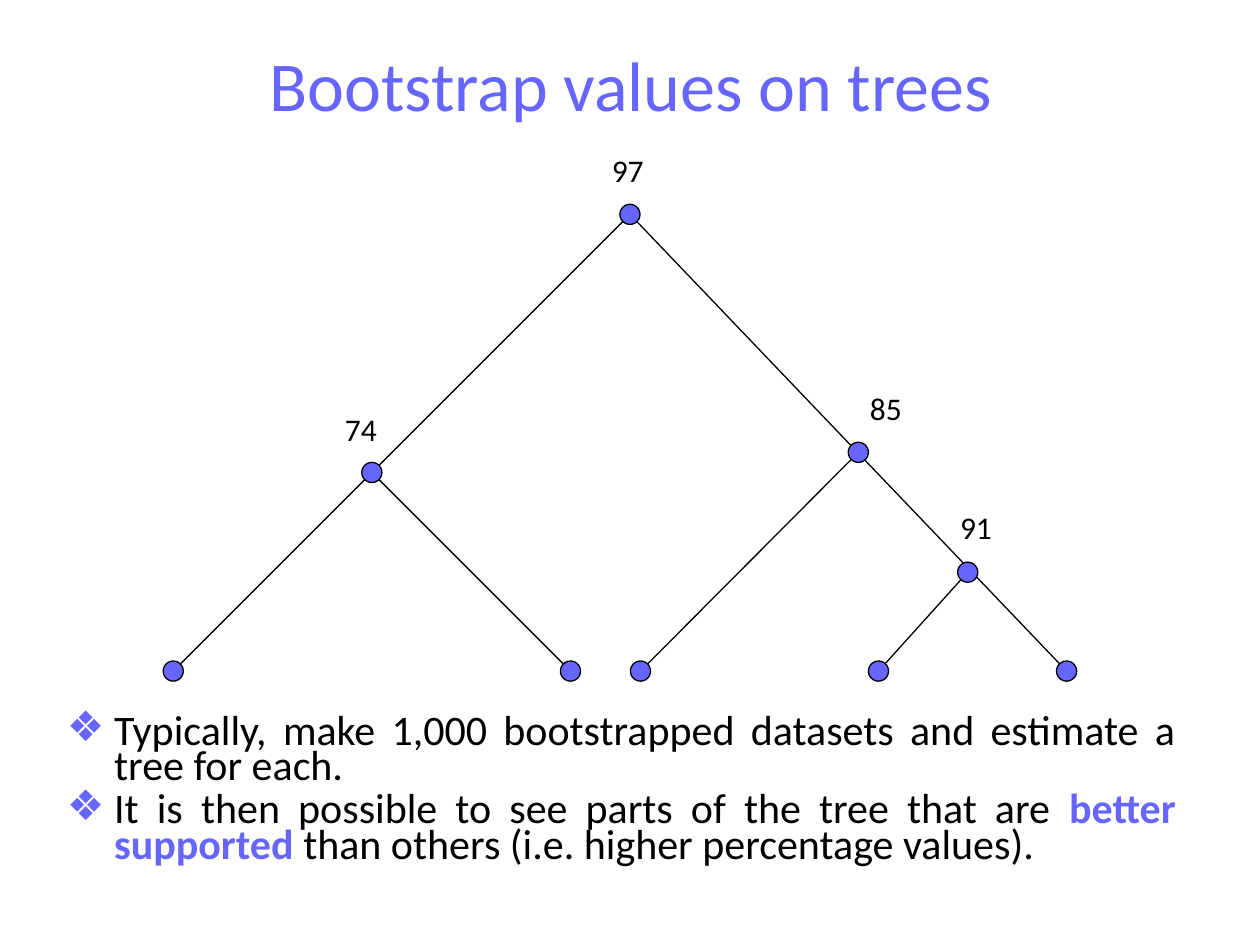
from lxml import etree
from pptx import Presentation
from pptx.dml.color import RGBColor
from pptx.enum import shapes, text
from pptx.oxml import ns
from pptx.util import Pt

ink = {"node": "6666FF", "text": "000000"}
dot = 11.5


def style(run, size, tone, bold=False):
    run.font.name = "Calibri"
    run.font.size = Pt(size)
    run.font.bold = bold
    run.font.color.rgb = RGBColor.from_string(ink[tone])


def place(box, left, top, width, height):
    box.left, box.top = Pt(left), Pt(top)
    box.width, box.height = Pt(width), Pt(height)


deck = Presentation()
deck.slide_width, deck.slide_height = Pt(720), Pt(540)
slide = deck.slides.add_slide(deck.slide_layouts[1])

title = slide.shapes.title
place(title, 36.5, 20, 648, 55.5)
title.text_frame.text = "Bootstrap values on trees"
title.text_frame.auto_size = text.MSO_AUTO_SIZE.NONE
title.text_frame.vertical_anchor = text.MSO_ANCHOR.MIDDLE
head = title.text_frame.paragraphs[0]
head.alignment = text.PP_ALIGN.CENTER
style(head.runs[0], 40, "node")

body = slide.placeholders[1]
place(body, 31, 406, 648, 102)
frame = body.text_frame
frame.auto_size = text.MSO_AUTO_SIZE.NONE
frame.vertical_anchor = text.MSO_ANCHOR.TOP
points = [
    [("Typically, make 1,000 bootstrapped datasets and estimate a tree for each.", False)],
    [("It is then possible to see parts of the tree that are ", False),
     ("better supported", True),
     (" than others (i.e. higher percentage values).", False)],
]
for i, parts in enumerate(points):
    para = frame.add_paragraph() if i else frame.paragraphs[0]
    para.alignment = text.PP_ALIGN.JUSTIFY
    para.line_spacing = 0.7
    para.space_before = Pt(4.8)
    for words, bold in parts:
        run = para.add_run()
        run.text = words
        style(run, 24, "node" if bold else "text", bold)
    props = para._p.get_or_add_pPr()
    props.set("marL", str(Pt(27)))
    props.set("indent", str(-Pt(27)))
    color = etree.SubElement(props, ns.qn("a:buClr"))
    etree.SubElement(color, ns.qn("a:srgbClr"), val=ink["node"])
    etree.SubElement(props, ns.qn("a:buChar"), char="❖")

nodes = {
    "root": (360, 122.5), "left": (212.5, 270),
    "right": (490.5, 258.5), "inner": (553, 327),
}
for i, x in enumerate([99, 326, 366, 502, 609.5]):
    nodes[i] = (x, 383.5)

edges = [("root", 0), ("root", 4), ("left", 1), ("right", 2), ("inner", 3)]
for start, end in edges:
    line = slide.shapes.add_connector(
        shapes.MSO_CONNECTOR.STRAIGHT,
        *map(Pt, nodes[start] + nodes[end]))
    line.line.color.rgb = RGBColor.from_string(ink["text"])
    line.line.width = Pt(0.75)
    etree.SubElement(line._element.spPr, ns.qn("a:effectLst"))

for x, y in nodes.values():
    node = slide.shapes.add_shape(
        shapes.MSO_SHAPE.OVAL,
        *map(Pt, (x - dot / 2, y - dot / 2, dot, dot)))
    node.shadow.inherit = False
    node.fill.solid()
    node.fill.fore_color.rgb = RGBColor.from_string(ink["node"])
    node.line.color.rgb = RGBColor.from_string(ink["text"])
    node.line.width = Pt(0.75)

labels = [("97", 342.5, 83), ("85", 490, 219), ("91", 541.5, 287), ("74", 190, 230.5)]
for value, x, y in labels:
    label = slide.shapes.add_textbox(*map(Pt, (x, y, 34.5, 29)))
    label.text_frame.word_wrap = False
    label.text_frame.auto_size = text.MSO_AUTO_SIZE.SHAPE_TO_FIT_TEXT
    label.text_frame.text = value
    style(label.text_frame.paragraphs[0].runs[0], 18, "text")

deck.save("out.pptx")
